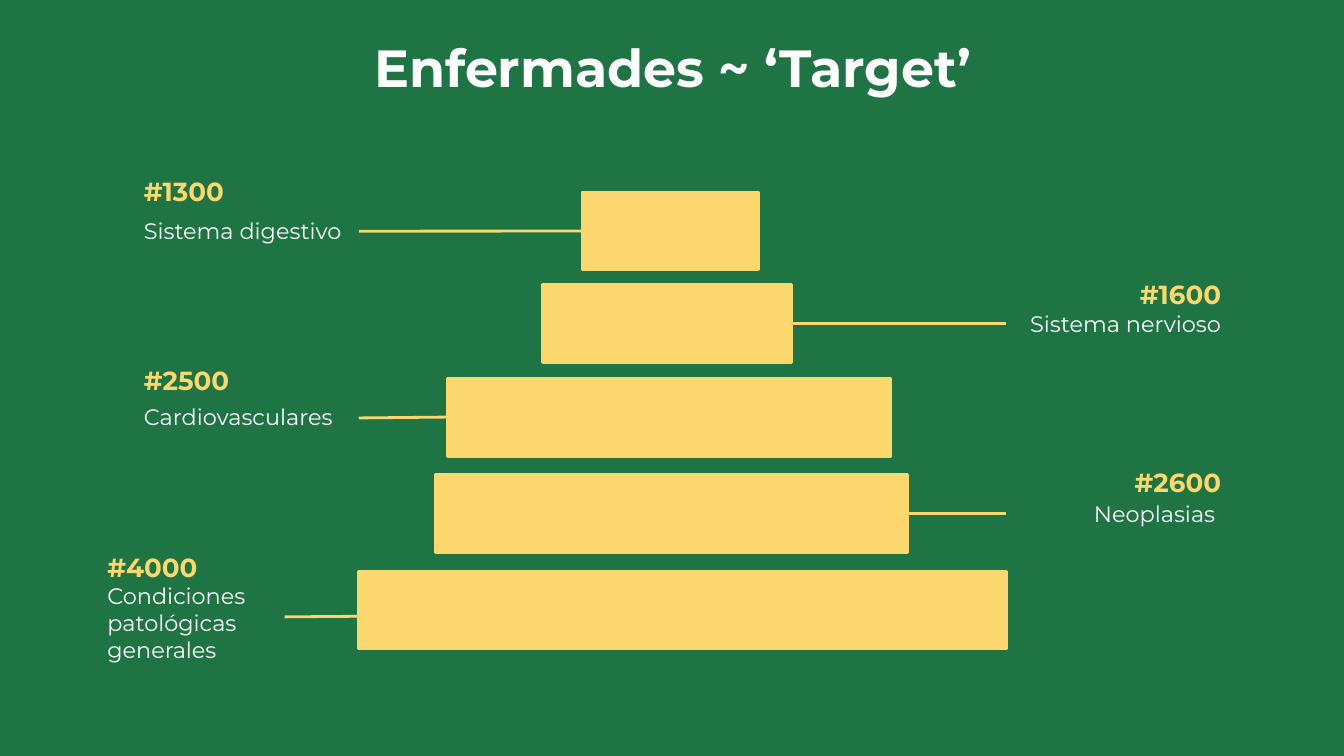
from dataclasses import dataclass

from lxml import etree
from pptx import Presentation
from pptx.dml.color import RGBColor
from pptx.enum.shapes import MSO_CONNECTOR, MSO_SHAPE
from pptx.enum.text import MSO_ANCHOR, PP_ALIGN
from pptx.oxml.ns import qn
from pptx.util import Cm, Pt

STRAIGHT = MSO_CONNECTOR.STRAIGHT
RECTANGLE = MSO_SHAPE.RECTANGLE
TOP, MIDDLE = MSO_ANCHOR.TOP, MSO_ANCHOR.MIDDLE
LEFT, CENTER, RIGHT = PP_ALIGN.LEFT, PP_ALIGN.CENTER, PP_ALIGN.RIGHT

COLORS = {"green": "1F7444", "yellow": "FBD76D", "white": "FFFFFF"}
FONT = "Montserrat"
BAR_H, LABEL_W, CODE_H, NAME_H, GAP = 1.47, 4.06, 0.84, 1.27, 0.1
RIGHT_SIDE = 3


@dataclass
class Level:
    """One pyramid level, with lengths in centimetres."""

    code: str
    name: str
    bar: tuple[float, float, float]
    line: tuple[float, float, float, float]
    label: tuple[float, float, float]
    align: PP_ALIGN = LEFT
    joined: bool = False


LEVELS = [
    Level("#1300", "Sistema digestivo", (11, 3.63, 3.33),
          (6.78, 4.37, 14.33, 4.37), (2.72, 3.2, 3.73), joined=True),
    Level("#1600", "Sistema nervioso", (10.26, 5.38, 4.7),
          (11, 6.12, 19.02, 6.12), (19.02, 5.13, 5.49), RIGHT),
    Level("#2500", "Cardiovasculares", (8.46, 7.16, 8.38),
          (6.78, 7.9, 16.81, 7.8), (2.72, 6.76, 7.24)),
    Level("#2600", "Neoplasias ", (8.23, 8.97, 8.92),
          (8.99, 9.7, 19.02, 9.7), (19.02, 8.69, 9.07), RIGHT),
    Level("#4000", "Condiciones patológicas generales", (6.78, 10.8, 12.24),
          (5.38, 11.66, 15.42, 11.58), (2.03, 10.29, 11.13)),
]


def rgb(name: str) -> RGBColor:
    """Return a named colour."""
    return RGBColor.from_string(COLORS[name])


def add_text(s, text: str, x: float, y: float, w: float, h: float, *,
             size: float, color: str = "white", bold: bool = False,
             align: PP_ALIGN = LEFT, anchor: MSO_ANCHOR = MIDDLE,
             margins: tuple[float, float, float, float] = (0, 0, 0, 0)) -> None:
    """Add a one-paragraph text box; margins run left, top, right, bottom."""
    tf = s.shapes.add_textbox(Cm(x), Cm(y), Cm(w), Cm(h)).text_frame
    tf.word_wrap = True
    tf.vertical_anchor = anchor
    tf.margin_left, tf.margin_top, tf.margin_right, tf.margin_bottom = map(Cm, margins)
    p = tf.paragraphs[0]
    p.alignment = align
    r = p.add_run()
    r.text = text
    r.font.name, r.font.size, r.font.bold = FONT, Pt(size), bold
    r.font.color.rgb = rgb(color)


def style_line(sp) -> None:
    """Give a bar or connector its yellow line."""
    sp.line.color.rgb = rgb("yellow")
    sp.line.width = Pt(1.5)


def add_level(s, level: Level) -> None:
    """Draw a bar with its connector and labels."""
    x, y, w = level.bar
    bar = s.shapes.add_shape(RECTANGLE, Cm(x), Cm(y), Cm(w), Cm(BAR_H))
    bar.shadow.inherit = False
    bar.fill.solid()
    bar.fill.fore_color.rgb = rgb("yellow")
    style_line(bar)

    line = s.shapes.add_connector(STRAIGHT, *map(Cm, level.line))
    if level.joined:
        line.end_connect(bar, RIGHT_SIDE)
    style_line(line)
    etree.SubElement(line._element.spPr, qn("a:effectLst"))

    x, code_y, name_y = level.label
    margins = (GAP, 0, 0, 0) if level.align == RIGHT else (0, 0, GAP, 0)
    add_text(s, level.name, x, name_y, LABEL_W, NAME_H, size=12,
             align=level.align, margins=margins)
    add_text(s, level.code, x, code_y, LABEL_W, CODE_H, size=14, color="yellow",
             bold=True, align=level.align, margins=margins)


def main() -> None:
    """Build and save the slide."""
    prs = Presentation()
    prs.slide_width, prs.slide_height = Cm(25.4), Cm(14.29)
    s = prs.slides.add_slide(prs.slide_layouts[6])
    s.background.fill.solid()
    s.background.fill.fore_color.rgb = rgb("green")
    add_text(s, "Enfermades ~ ‘Target’", 2.31, 0.41, 20.8, 1.6, size=28, bold=True,
             align=CENTER, anchor=TOP, margins=(0.25, 0.25, 0.25, 0.25))
    for level in LEVELS:
        add_level(s, level)
    prs.save("out.pptx")


if __name__ == "__main__":
    main()
